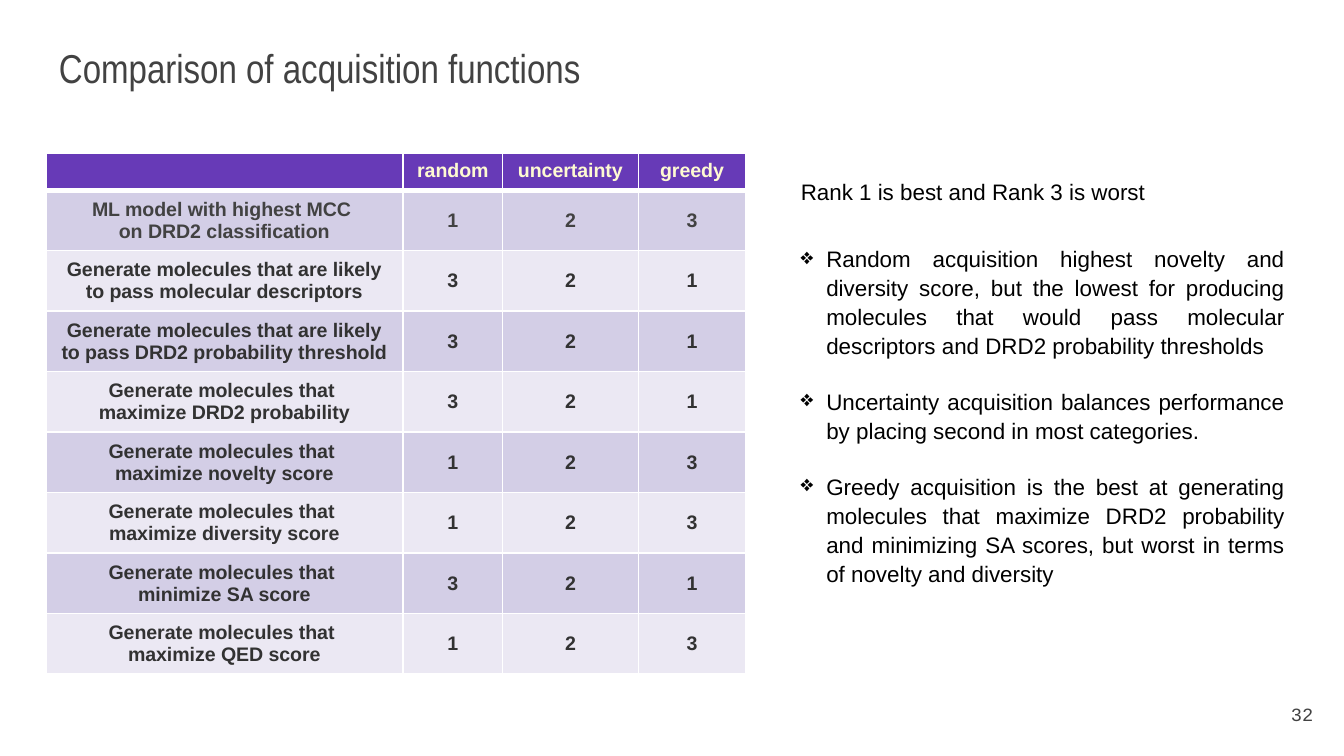
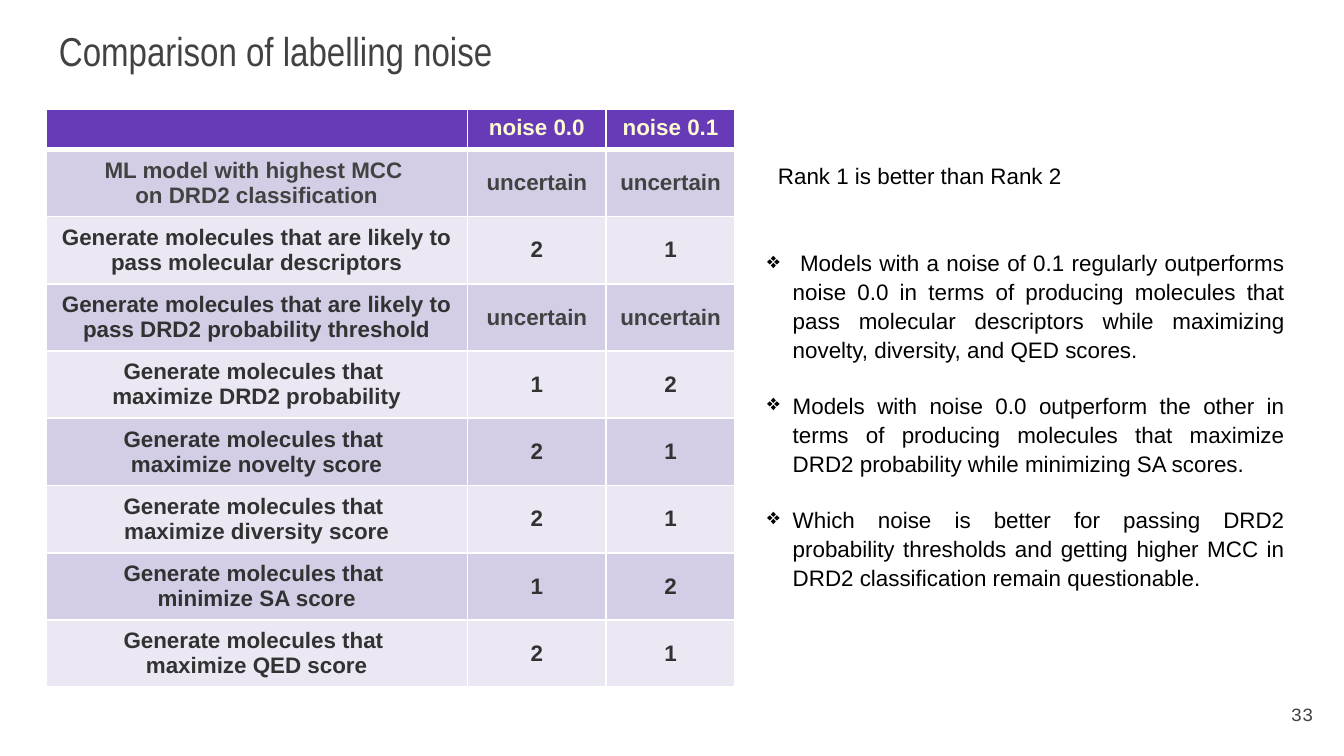
"""Build two slides that rank acquisition functions and labelling noise."""
from lxml import etree
from pptx import Presentation
from pptx.dml.color import RGBColor
from pptx.enum.text import MSO_ANCHOR, PP_ALIGN
from pptx.oxml.ns import qn
from pptx.util import Inches, Pt

LEFT, RIGHT, CENTER, JUSTIFY = PP_ALIGN.LEFT, PP_ALIGN.RIGHT, PP_ALIGN.CENTER, PP_ALIGN.JUSTIFY
TOP, MIDDLE, BOTTOM = MSO_ANCHOR.TOP, MSO_ANCHOR.MIDDLE, MSO_ANCHOR.BOTTOM
GRID = Inches(0.1)
COLUMNS, ROWS = 100, 56.25
MARGIN = 3.4
CONTENT_WIDTH = COLUMNS - 2 * MARGIN
COLORS = {
    "header": "673AB7",
    "header_text": "FEFAD2",
    "band_dark": "D3CEE6",
    "band_light": "EBE8F3",
    "border": "FFFFFF",
    "muted": "424242",
    "strong": "323232",
    "body": "000000",
}
CRITERIA = [
    "ML model with highest MCC \non DRD2 classification",
    "Generate molecules that are likely to pass molecular descriptors",
    "Generate molecules that are likely to pass DRD2 probability threshold",
] + [
    f"Generate molecules that \n{goal}"
    for goal in (
        "maximize DRD2 probability",
        "maximize novelty score",
        "maximize diversity score",
        "minimize SA score",
        "maximize QED score",
    )
]
UNSURE = "uncertain"
SLIDES = [
    {
        "title": "Comparison of acquisition functions",
        "title_top": 2.2,
        "number": 32,
        "table_top": 11.4,
        "widths": [26.6, 7.4, 10.1, 8],
        "header_height": 2.55,
        "row_height": 4.25,
        "size": 10.5,
        "headings": ["random", "uncertainty", "greedy"],
        "ranks": [(1, 2, 3), (3, 2, 1), (3, 2, 1), (3, 2, 1),
                  (1, 2, 3), (1, 2, 3), (3, 2, 1), (1, 2, 3)],
        "note": "Rank 1 is best and Rank 3 is worst",
        "note_at": (58.6, 12.8),
        "findings_at": (58.6, 17.6),
        "findings": [
            "Random acquisition highest novelty and diversity score, but the lowest for "
            "producing molecules that would pass molecular descriptors and DRD2 "
            "probability thresholds",
            "Uncertainty acquisition balances performance by placing second in most "
            "categories.",
            "Greedy acquisition is the best at generating molecules that maximize DRD2 "
            "probability and minimizing SA scores, but worst in terms of novelty and "
            "diversity",
        ],
    },
    {
        "title": "Comparison of labelling noise",
        "title_top": 0.9,
        "number": 33,
        "table_top": 8.1,
        "widths": [31.4, 10.3, 9.6],
        "header_height": 2.9,
        "row_height": 4.73,
        "size": 12,
        "headings": ["noise 0.0", "noise 0.1"],
        "ranks": [(UNSURE, UNSURE), (2, 1), (UNSURE, UNSURE), (1, 2),
                  (2, 1), (2, 1), (1, 2), (2, 1)],
        "note": "Rank 1 is better than Rank 2",
        "note_at": (56.9, 11.6),
        "findings_at": (56.1, 17.9),
        "findings": [
            " Models with a noise of 0.1 regularly outperforms noise 0.0 in terms of "
            "producing molecules that pass molecular descriptors while maximizing "
            "novelty, diversity, and QED scores.",
            "Models with noise 0.0 outperform the other in terms of producing molecules "
            "that maximize DRD2 probability while minimizing SA scores.",
            "Which noise is better for passing DRD2 probability thresholds and getting "
            "higher MCC in DRD2 classification remain questionable.",
        ],
    },
]


def grid(count):
    """Turn grid steps into a length."""
    return round(count * GRID)


class RankingDeck:
    """Hold the shared style and the current slide."""

    def __init__(self):
        """Start an empty deck."""
        self.deck = Presentation()
        self.deck.slide_width = grid(COLUMNS)
        self.deck.slide_height = grid(ROWS)
        self.page = None

    def add_page(self):
        """Start a blank slide."""
        self.page = self.deck.slides.add_slide(self.deck.slide_layouts[6])

    def style(self, frame, size, color, font="Arial", bold=False, align=LEFT):
        """Format every run of a text frame."""
        for para in frame.paragraphs:
            para.alignment = align
            for span in para.runs:
                span.font.size = Pt(size)
                span.font.name = font
                span.font.bold = bold
                span.font.color.rgb = RGBColor.from_string(COLORS[color])
            if not para.runs:
                end = etree.SubElement(para._p, qn("a:endParaRPr"))
                end.set("sz", str(round(size * 100)))

    def text(self, content, left, top, width, height, size, color,
             font="Arial", align=LEFT, anchor=TOP, inset=0.5):
        """Add a text box and return its frame."""
        box = self.page.shapes.add_textbox(grid(left), grid(top), grid(width), grid(height))
        frame = box.text_frame
        frame.word_wrap = True
        frame.vertical_anchor = anchor
        frame.margin_left = frame.margin_right = grid(1)
        frame.margin_top = frame.margin_bottom = grid(inset)
        frame.text = content
        self.style(frame, size, color, font, align=align)
        return frame

    def title(self, content, top):
        """Add the slide title."""
        frame = self.text(content, MARGIN, top, CONTENT_WIDTH, 5.7, 21.6, "muted",
                          "Arial Narrow", anchor=BOTTOM, inset=1)
        frame.paragraphs[0].line_spacing = 0.9

    def number(self, value):
        """Add the slide number."""
        self.text(str(value), 92.7, 51, 6, 4.3, 10, "muted", "Courier New",
                  RIGHT, MIDDLE, inset=1)

    def note(self, content, left, top):
        """Add the line that explains the ranks."""
        self.text(content, left, top, 32.2, 3, 12, "body")

    def findings(self, items, left, top):
        """Add the bulleted findings up to the right margin."""
        width = COLUMNS - MARGIN - left
        frame = self.text("\n".join(items), left, top, width, 25.2, 12, "body", align=JUSTIFY)
        for index, para in enumerate(frame.paragraphs):
            para.line_spacing = 1.08
            if index:
                para.space_before = Pt(14.4)
            props = para._p.get_or_add_pPr()
            props.set("marL", str(grid(1.9)))
            props.set("indent", str(-grid(1.9)))
            tint = etree.SubElement(props, qn("a:buClr"))
            etree.SubElement(tint, qn("a:srgbClr")).set("val", COLORS["body"])
            etree.SubElement(props, qn("a:buChar")).set("char", "❖")

    def borders(self, cell, bottom):
        """Draw the white rules around a cell."""
        props = cell._tc.get_or_add_tcPr()
        for side, width in (("L", 1), ("R", 1), ("T", 1), ("B", bottom)):
            line = etree.SubElement(props, qn(f"a:ln{side}"))
            line.set("w", str(Pt(width)))
            fill = etree.SubElement(line, qn("a:solidFill"))
            etree.SubElement(fill, qn("a:srgbClr")).set("val", COLORS["border"])

    def cell(self, cell, content, row, size):
        """Fill one table cell by the rule of its row."""
        header = row == 0
        cell.text = content
        cell.vertical_anchor = TOP if header else MIDDLE
        if header:
            fill, color = "header", "header_text"
        else:
            fill = "band_dark" if row % 2 else "band_light"
            color = "muted" if row == 1 or content == UNSURE else "strong"
        self.style(cell.text_frame, size, color, bold=True, align=CENTER)
        self.borders(cell, 3 if header or row == 0 else 1)
        cell.fill.solid()
        cell.fill.fore_color.rgb = RGBColor.from_string(COLORS[fill])

    def table(self, headings, ranks, top, widths, header_height, row_height, size):
        """Add the table of ranks per criterion."""
        lines = [["", *headings]]
        lines += [[name, *map(str, row)] for name, row in zip(CRITERIA, ranks)]
        height = header_height + row_height * len(ranks)
        table = self.page.shapes.add_table(
            len(lines), len(widths), grid(MARGIN), grid(top), grid(sum(widths)), grid(height)
        ).table
        for column, width in zip(table.columns, widths):
            column.width = grid(width)
        for index, line in enumerate(lines):
            table.rows[index].height = grid(row_height if index else header_height)
            for column, content in enumerate(line):
                self.cell(table.cell(index, column), content, index, size)


def main():
    """Build and save the deck."""
    ranking = RankingDeck()
    for slide in SLIDES:
        ranking.add_page()
        ranking.number(slide["number"])
        ranking.title(slide["title"], slide["title_top"])
        ranking.table(slide["headings"], slide["ranks"], slide["table_top"], slide["widths"],
                      slide["header_height"], slide["row_height"], slide["size"])
        ranking.findings(slide["findings"], *slide["findings_at"])
        ranking.note(slide["note"], *slide["note_at"])
    ranking.deck.save("out.pptx")


if __name__ == "__main__":
    main()
